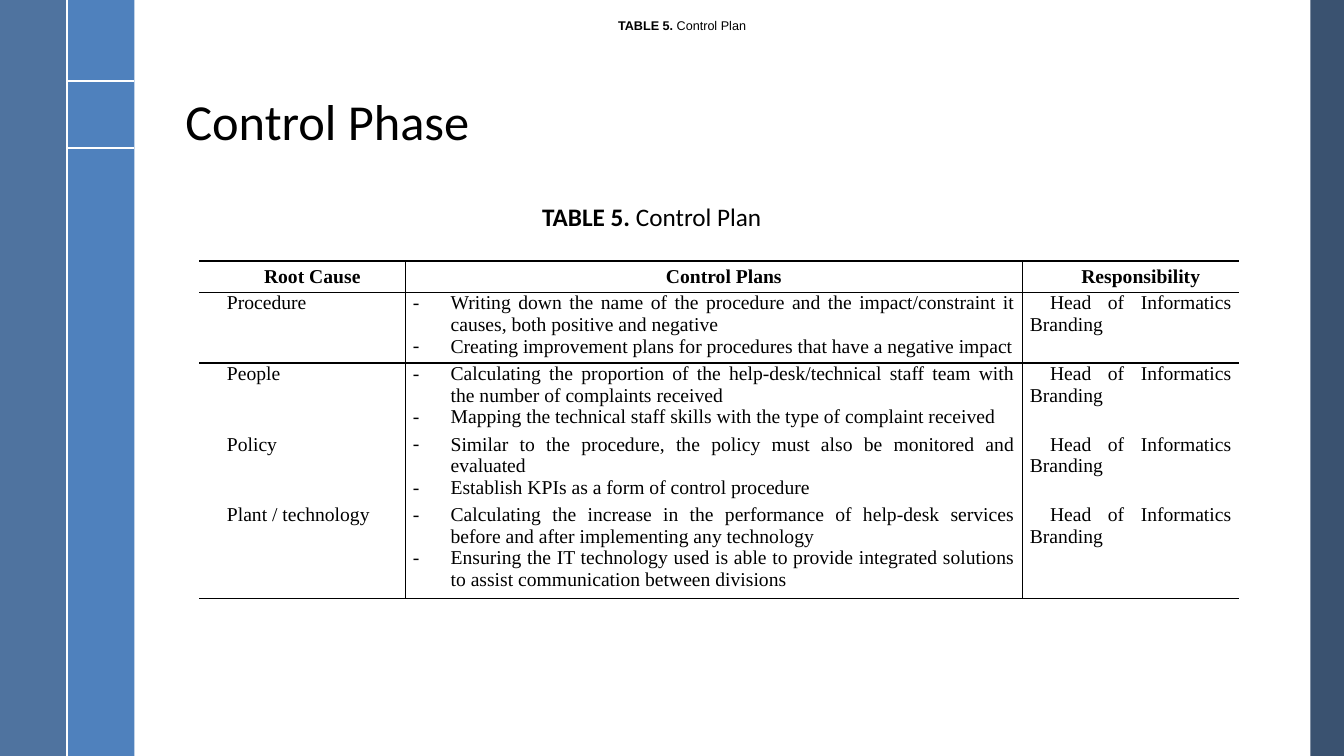
import pptx
import pptx.dml.color
import pptx.enum.shapes
import pptx.enum.text
import pptx.oxml.ns
import pptx.util
from lxml import etree

Pt = pptx.util.Pt
qn = pptx.oxml.ns.qn
ALIGN = pptx.enum.text.PP_ALIGN
ANCHOR = pptx.enum.text.MSO_ANCHOR

TITLE = "Control Phase"
CAPTION = [("TABLE 5. ", True), ("Control Plan", False)]
HEADERS = ["Root Cause", "Control Plans", "Responsibility"]
RESPONSIBLE = "Head of Informatics Branding"
PLANS = [
    ("Procedure", [
        "Writing down the name of the procedure and the impact/constraint it causes, both positive and negative",
        "Creating improvement plans for procedures that have a negative impact"]),
    ("People", [
        "Calculating the proportion of the help-desk/technical staff team with the number of complaints received",
        "Mapping the technical staff skills with the type of complaint received"]),
    ("Policy", [
        "Similar to the procedure, the policy must also be monitored and evaluated",
        "Establish KPIs as a form of control procedure"]),
    ("Plant / technology", [
        "Calculating the increase in the performance of help-desk services before and after implementing any technology",
        "Ensuring the IT technology used is able to provide integrated solutions to assist communication between divisions"]),
]
WIDTH, HEIGHT = 960, 540
BAND = 48
BANDS = [(936, 24, "254061", 90), (BAND, BAND, "4F81BD", 100), (0, BAND, "376092", 88)]
RULES = [(BAND, 58, 2 * BAND, 58), (BAND, 106, 2 * BAND, 106), (BAND, 0, BAND, HEIGHT)]
TABLE_LEFT, TABLE_TOP = 142.3, 186.5
COLUMN_WIDTHS = [147.2, 440.8, 154.8]
ROW_HEIGHTS = [22.3, 46.5, 46.5, 46.5, 61.5]
NO_STYLE = "{2D5ABB26-0587-4C30-8999-92F81FD0307C}"
FIRST_INDENT = 14.4
HANGING = 27


def colour(hex_text):
    return pptx.dml.color.RGBColor.from_string(hex_text)


def write(paragraph, text, font="Calibri", size=18, bold=False, align=ALIGN.LEFT,
          margin=0, indent=0, bullet=None, spacing=None):
    runs = [(text, bold)] if isinstance(text, str) else text
    for words, is_bold in runs:
        run = paragraph.add_run()
        run.text = words
        run.font.name = font
        run.font.size = Pt(size)
        run.font.bold = is_bold
        run.font.color.rgb = colour("000000")
    paragraph.alignment = align
    if spacing:
        paragraph.line_spacing = spacing
    properties = paragraph._p.get_or_add_pPr()
    properties.set("marL", str(Pt(margin)))
    properties.set("indent", str(Pt(indent)))
    if bullet:
        etree.SubElement(properties, qn("a:buFont"), typeface=font)
        etree.SubElement(properties, qn("a:buChar"), char=bullet)


def add_text(slide, text, left, top, width, height, anchor=ANCHOR.TOP, **text_format):
    frame = slide.shapes.add_textbox(Pt(left), Pt(top), Pt(width), Pt(height)).text_frame
    frame.word_wrap = True
    frame.vertical_anchor = anchor
    write(frame.paragraphs[0], text, **text_format)


def add_band(slide, left, width, fill, opacity):
    shape = slide.shapes.add_shape(pptx.enum.shapes.MSO_SHAPE.RECTANGLE,
                                   Pt(left), 0, Pt(width), Pt(HEIGHT))
    shape.shadow.inherit = False
    shape.line.fill.background()
    shape.fill.solid()
    shape.fill.fore_color.rgb = colour(fill)
    if opacity < 100:
        fill_colour = shape._element.spPr.find(".//" + qn("a:srgbClr"))
        etree.SubElement(fill_colour, qn("a:alpha"), val=str(opacity * 1000))


def add_rule(slide, *ends):
    connector = slide.shapes.add_connector(pptx.enum.shapes.MSO_CONNECTOR.STRAIGHT,
                                           *[Pt(end) for end in ends])
    connector.line.color.rgb = colour("FFFFFF")
    connector.line.width = Pt(1.5)
    etree.SubElement(connector._element.spPr, qn("a:effectLst"))


def format_cell(cell, sides):
    cell.margin_left = cell.margin_right = Pt(5.4)
    cell.margin_top = cell.margin_bottom = 0
    properties = cell._tc.get_or_add_tcPr()
    for side in sides:
        border = etree.SubElement(properties, qn("a:ln" + side), w=str(Pt(1)))
        fill = etree.SubElement(border, qn("a:solidFill"))
        etree.SubElement(fill, qn("a:srgbClr"), val="000000")
    cell.fill.background()


def add_plan_table(slide):
    rows = [HEADERS] + [(cause, plans, RESPONSIBLE) for cause, plans in PLANS]
    frame = slide.shapes.add_table(len(rows), len(HEADERS), Pt(TABLE_LEFT), Pt(TABLE_TOP),
                                   Pt(sum(COLUMN_WIDTHS)), Pt(sum(ROW_HEIGHTS)))
    table = frame.table
    table.first_row = table.horz_banding = False
    table._tbl.tblPr.find(qn("a:tableStyleId")).text = NO_STYLE
    for column, width in zip(table.columns, COLUMN_WIDTHS):
        column.width = Pt(width)
    for row, height in zip(table.rows, ROW_HEIGHTS):
        row.height = Pt(height)
    for row_index, row in enumerate(rows):
        header = row_index == 0
        for column_index, content in enumerate(row):
            cell = table.cell(row_index, column_index)
            sides = {0: "R", 1: "L", 2: ""}[column_index]
            sides += "T" if row_index <= 1 else ""
            sides += "B" if header or row_index == len(rows) - 1 else ""
            format_cell(cell, sides)
            cell.vertical_anchor = ANCHOR.MIDDLE if header else ANCHOR.TOP
            listed = isinstance(content, list)
            for index, text in enumerate(content if listed else [content]):
                frame = cell.text_frame
                paragraph = frame.add_paragraph() if index else frame.paragraphs[0]
                write(paragraph, text, font="Times New Roman", size=14, bold=header,
                      align=ALIGN.CENTER if header else ALIGN.JUSTIFY,
                      margin=HANGING if listed else 0,
                      indent=-HANGING if listed else FIRST_INDENT,
                      bullet="-" if listed else None)


def main():
    presentation = pptx.Presentation()
    presentation.slide_width, presentation.slide_height = Pt(WIDTH), Pt(HEIGHT)
    slide = presentation.slides.add_slide(presentation.slide_layouts[6])
    for band in BANDS:
        add_band(slide, *band)
    for rule in RULES:
        add_rule(slide, *rule)
    add_text(slide, TITLE, 125.3, 13.7, 770.4, 97.9, anchor=ANCHOR.BOTTOM, size=36, spacing=0.9)
    add_plan_table(slide)
    add_text(slide, CAPTION, 0, 0, WIDTH, 36, anchor=ANCHOR.MIDDLE, font="Arial", size=9,
             align=ALIGN.CENTER, indent=FIRST_INDENT)
    add_text(slide, CAPTION, 380.2, 140.4, 198.7, 28.8)
    presentation.save("out.pptx")


if __name__ == "__main__":
    main()
